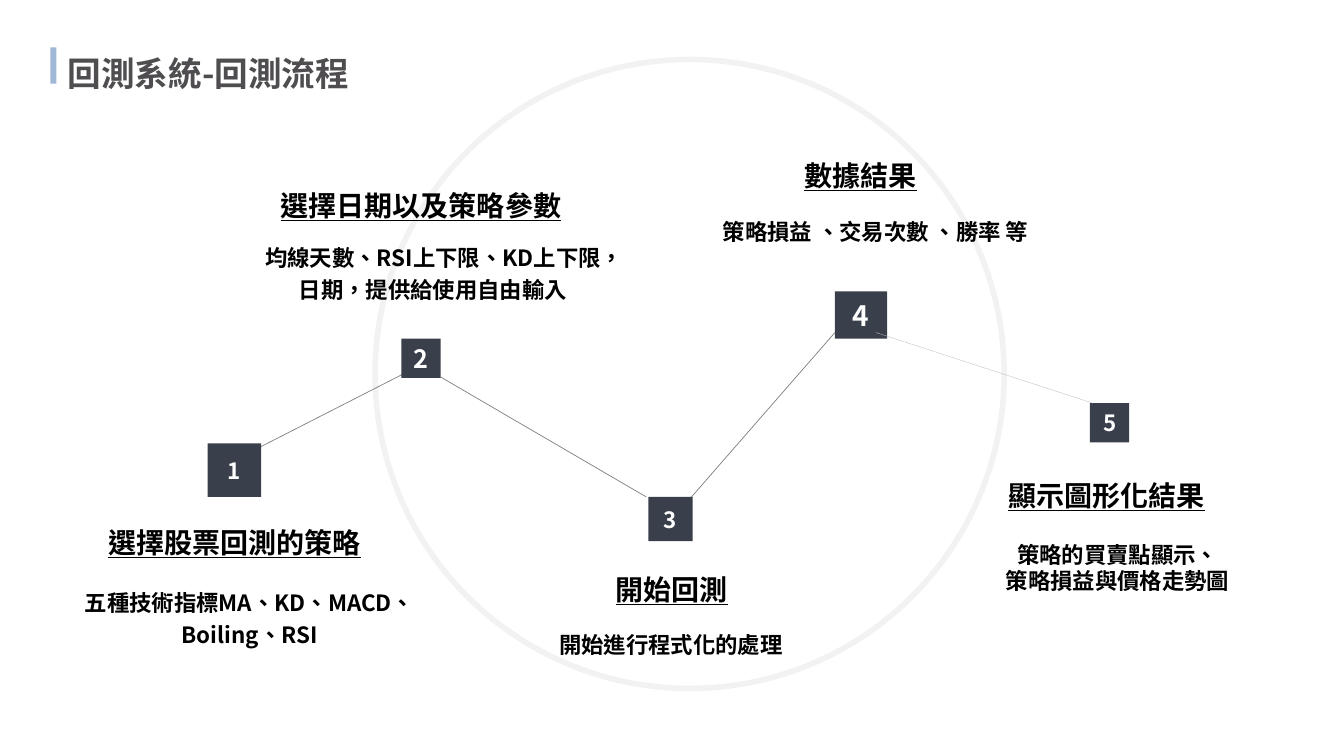
from dataclasses import dataclass

from lxml import etree
from pptx import Presentation
from pptx import util as u
from pptx.dml.color import RGBColor
from pptx.enum import shapes, text
from pptx.oxml import ns

FONT = "Noto Sans CJK SC"
WHITE = RGBColor(0xFF, 0xFF, 0xFF)
BLACK = RGBColor(0, 0, 0)
SLATE = RGBColor(0x3A, 0x40, 0x4B)
GREY = RGBColor(0x80, 0x80, 0x80)
PALE = RGBColor(0xBF, 0xBF, 0xBF)
RING = RGBColor(0xF2, 0xF2, 0xF2)
BLUE = RGBColor(0x9F, 0xB8, 0xD6)
INK = RGBColor(0x4F, 0x4D, 0x50)

MID = text.MSO_ANCHOR.MIDDLE
TOP = text.MSO_ANCHOR.TOP
LEFT = text.PP_ALIGN.LEFT
CENTER = text.PP_ALIGN.CENTER

Box = tuple[float, float, float, float]
Point = tuple[float, float]


@dataclass
class Label:
    box: Box
    lines: list[str]
    anchor: text.MSO_ANCHOR = TOP
    space: float = 1.2
    align: text.PP_ALIGN = CENTER


@dataclass
class Step:
    box: Box
    size: int
    head: Label
    body: Label


@dataclass
class Link:
    start: Point
    end: Point
    color: RGBColor = GREY
    width: float = 0.5


STEPS = [
    Step((2.06, 4.4, 0.53, 0.53), 16,
         Label((0.74, 5.13, 3.17, 0.49), ["選擇股票回測的策略"], MID, 1),
         Label((0.74, 5.74, 3.47, 1), ["五種技術指標MA、KD、MACD、Boiling、RSI"])),
    Step((3.98, 3.36, 0.39, 0.39), 18,
         Label((2.45, 1.74, 3.45, 0.59), ["選擇日期以及策略參數"], MID, 1),
         Label((2.47, 2.32, 3.65, 0.99),
               ["均線天數、RSI上下限、KD上下限，日期，提供給使用自由輸入"])),
    Step((6.43, 4.93, 0.44, 0.44), 16,
         Label((5.08, 5.6, 3.17, 0.49), ["開始回測"], MID, 1),
         Label((5.07, 6.16, 3.17, 0.66), ["開始進行程式化的處理"])),
    Step((8.28, 2.89, 0.52, 0.47), 20,
         Label((6.95, 1.49, 3.17, 0.49), ["數據結果"], MID, 1),
         Label((7.07, 2.06, 3.33, 0.66), ["策略損益 、交易次數 、勝率 等"], align=LEFT)),
    Step((10.81, 4, 0.39, 0.39), 16,
         Label((9.39, 4.63, 3.17, 0.66), ["顯示圖形化結果"]),
         Label((9.39, 5.19, 3.39, 0.88),
               ["策略的買賣點顯示、", "策略損益與價格走勢圖"], MID, 1)),
]
LINKS = [
    Link((2.59, 4.43), (4, 3.71)),
    Link((4.37, 3.74), (6.41, 4.93)),
    Link((6.78, 5.02), (8.28, 3.3)),
]
LAST = Link((8.69, 3.3), (10.84, 4), PALE, 0.25)


def write(shape, lines: list[str], *, size: int, color: RGBColor = BLACK,
          under: bool = False, align: text.PP_ALIGN = CENTER,
          anchor: text.MSO_ANCHOR = MID, space: float = 1) -> None:
    frame = shape.text_frame
    frame.word_wrap = True
    frame.auto_size = text.MSO_AUTO_SIZE.NONE
    frame.vertical_anchor = anchor
    for i, line in enumerate(lines):
        para = frame.add_paragraph() if i else frame.paragraphs[0]
        para.alignment = align
        para.line_spacing = space
        run = para.add_run()
        run.text = line
        font = run.font
        font.size = u.Pt(size)
        font.bold = True
        font.underline = under
        font.color.rgb = color
        font.name = FONT
        props = run._r.get_or_add_rPr()
        props.set("lang", "zh-TW")
        etree.SubElement(props, ns.qn("a:ea"), typeface=FONT)


def add_shape(slide, kind: shapes.MSO_SHAPE, box: Box, fill: RGBColor):
    shape = slide.shapes.add_shape(kind, *map(u.Inches, box))
    shape.shadow.inherit = False
    shape.fill.solid()
    shape.fill.fore_color.rgb = fill
    shape.line.fill.background()
    return shape


def add_link(slide, link: Link) -> None:
    line = slide.shapes.add_connector(
        shapes.MSO_CONNECTOR.STRAIGHT, *map(u.Inches, link.start + link.end))
    line.line.color.rgb = link.color
    line.line.width = u.Pt(link.width)
    etree.SubElement(line._element.spPr, ns.qn("a:effectLst"))


def add_label(slide, label: Label, size: int, under: bool) -> None:
    box = slide.shapes.add_textbox(*map(u.Inches, label.box))
    write(box, label.lines, size=size, under=under, align=label.align,
          anchor=label.anchor, space=label.space)


def add_title(slide) -> None:
    title = slide.shapes.title
    title.left, title.top = u.Inches(0.57), u.Inches(0.36)
    title.width, title.height = u.Inches(3.04), u.Inches(0.57)
    write(title, ["回測系統-回測流程"], size=24, color=INK,
          align=LEFT, anchor=TOP, space=1.3)


def main() -> None:
    deck = Presentation()
    deck.slide_width, deck.slide_height = u.Inches(13.33), u.Inches(7.5)
    slide = deck.slides.add_slide(deck.slide_layouts[5])
    add_title(slide)
    ring = add_shape(slide, shapes.MSO_SHAPE.OVAL, (3.72, 0.59, 6.24, 6.24), WHITE)
    ring.line.color.rgb = RING
    ring.line.width = u.Pt(4)
    for link in LINKS:
        add_link(slide, link)
    for i, step in enumerate(STEPS, 1):
        tile = add_shape(slide, shapes.MSO_SHAPE.RECTANGLE, step.box, SLATE)
        write(tile, [str(i)], size=step.size, color=WHITE)
    add_link(slide, LAST)
    for step in STEPS:
        add_label(slide, step.head, 20, True)
        add_label(slide, step.body, 16, False)
    add_shape(slide, shapes.MSO_SHAPE.RECTANGLE, (0.5, 0.47, 0.06, 0.36), BLUE)
    deck.save("out.pptx")


if __name__ == "__main__":
    main()
